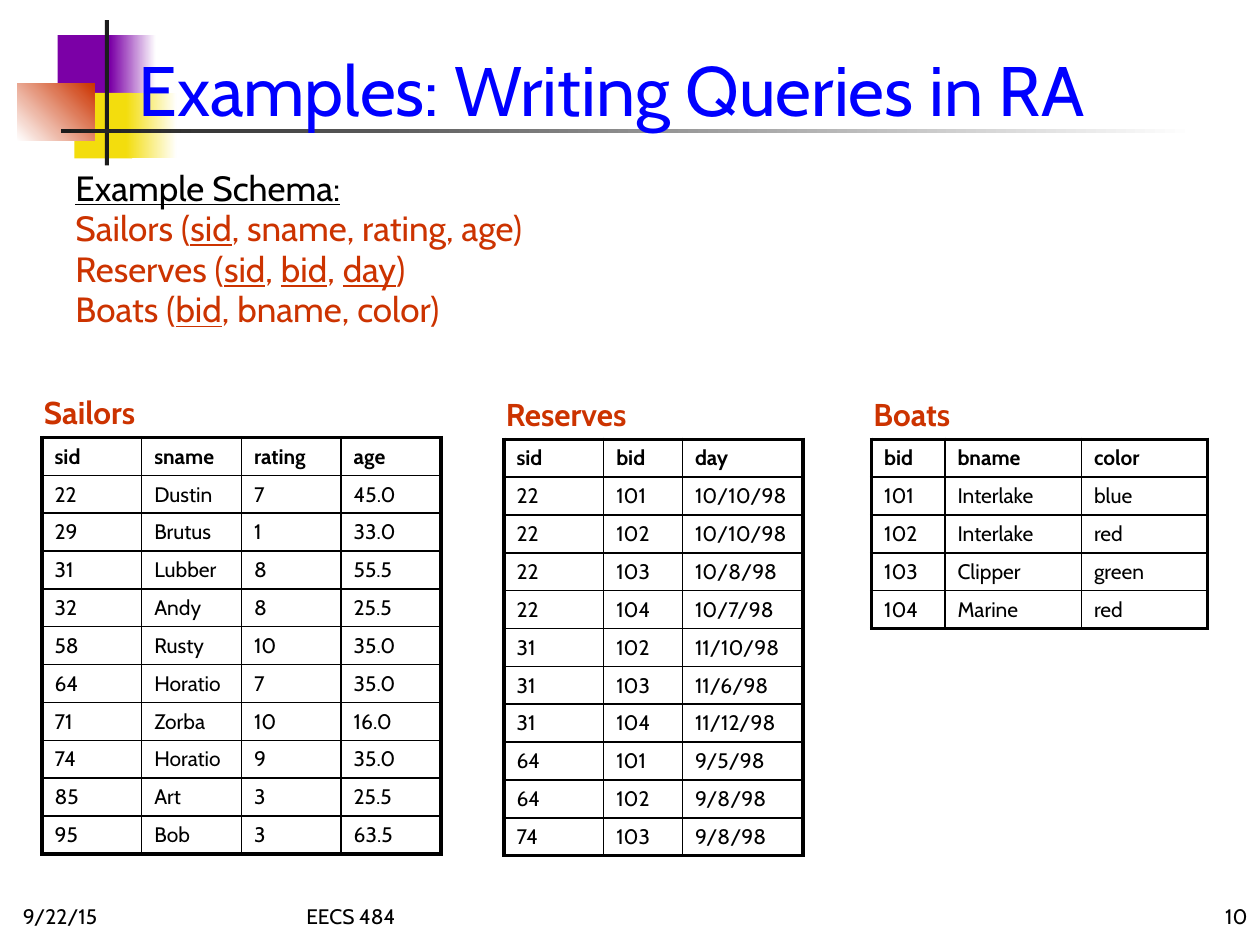
from lxml.etree import SubElement
from pptx import Presentation
from pptx.dml.color import RGBColor
from pptx.enum.shapes import MSO_SHAPE as Preset
from pptx.enum.text import MSO_ANCHOR as Anchor, PP_ALIGN as Align
from pptx.oxml.ns import qn
from pptx.util import Pt

FONT = "Cabin"
BLACK, WHITE, RED, BLUE = "000000", "FFFFFF", "CC3300", "0000FF"
PURPLE, YELLOW, CHARCOAL = "7B00A6", "F3DD0D", "1C1C1C"
ROW_HEIGHT = 21.6
THIN, THICK = 1, 2.25


def rgb(value):
    return RGBColor.from_string(value)


def write_text(para, text, size=12, color=BLACK, bold=False, align=Align.LEFT):
    para.alignment = align
    for index, piece in enumerate(text.split("_")):
        if piece:
            span = para.add_run()
            span.text = piece
            span.font.name = FONT
            span.font.size = Pt(size)
            span.font.bold = bold
            span.font.underline = index % 2 == 1
            span.font.color.rgb = rgb(color)


def add_text(page, box, text, anchor=Anchor.TOP, **style):
    frame = page.shapes.add_textbox(*map(Pt, box)).text_frame
    frame.word_wrap = True
    frame.vertical_anchor = anchor
    write_text(frame.paragraphs[0], text, **style)
    return frame


def add_block(page, box, start, end=None, angle=0):
    block = page.shapes.add_shape(Preset.RECTANGLE, *map(Pt, box))
    block.shadow.inherit = False
    block.line.fill.background()
    if end is None:
        block.fill.solid()
        block.fill.fore_color.rgb = rgb(start)
    else:
        block.fill.gradient()
        block.fill.gradient_angle = angle
        for stop, color in zip(block.fill.gradient_stops, (start, end)):
            stop.color.rgb = rgb(color)


def add_ornament(page, box):
    left, top, width, height = box
    blocks = [
        ((23, 8.5, 34.5, 37.5), PURPLE),
        ((53, 8.5, 26, 37.5), PURPLE, WHITE),
        ((32.5, 41.5, 33, 37.5), YELLOW),
        ((62, 41.5, 29, 37.5), YELLOW, WHITE),
        ((0, 36, 44, 33), WHITE, RED, 45),
        ((50, 0, 2.2, height), CHARCOAL),
        ((25, 62.5, width - 25, 2.2), CHARCOAL, WHITE),
    ]
    for (x, y, w, h), *colors in blocks:
        add_block(page, (left + x, top + y, w, h), *colors)


def add_schema(page, box, lines):
    heading, *relations = lines
    frame = add_text(page, box, heading, size=20)
    for relation in relations:
        write_text(frame.add_paragraph(), relation, size=20, color=RED)
    for para in frame.paragraphs:
        para.line_spacing = 0.8
        para.space_before = Pt(4)


def set_borders(cell, widths):
    props = cell._tc.get_or_add_tcPr()
    for side, width in widths.items():
        line = SubElement(props, qn(f"a:ln{side}"), w=str(Pt(width)))
        fill = SubElement(line, qn("a:solidFill"))
        SubElement(fill, qn("a:srgbClr"), val=BLACK)


def add_relation(page, box, name, widths, rows):
    left, top, width, height = box
    add_text(page, (left - 6, top, 102, 29), name, size=18, color=RED, bold=True)
    frame = page.shapes.add_table(
        len(rows), len(widths), Pt(left), Pt(top + 29), Pt(width), Pt(height - 29)
    )
    table = frame.table
    table.first_row = table.horz_banding = False
    for column, column_width in zip(table.columns, widths):
        column.width = Pt(column_width)
    last_row, last_column = len(rows) - 1, len(widths) - 1
    for r, values in enumerate(rows):
        table.rows[r].height = Pt(ROW_HEIGHT)
        for c, value in enumerate(values):
            cell = table.cell(r, c)
            write_text(cell.text_frame.paragraphs[0], value, bold=r == 0)
            edges = {"L": c == 0, "R": c == last_column, "T": r == 0, "B": r == last_row}
            set_borders(cell, {side: THICK if outer else THIN for side, outer in edges.items()})
            cell.fill.background()


def add_footer(page, box):
    left, top, width, height = box
    parts = [
        (0, 150, "9/22/15", Align.LEFT),
        (162, 390, "EECS 484", Align.LEFT),
        (width - 150, 150, "10", Align.RIGHT),
    ]
    for x, part_width, text, align in parts:
        add_text(page, (left + x, top, part_width, height), text, Anchor.BOTTOM, align=align)


SCHEMA = [
    "_Example Schema:_",
    "Sailors (_sid_, sname, rating, age)",
    "Reserves (_sid_, _bid_, _day_)",
    "Boats (_bid_, bname, color)",
]
SAILORS = [
    ("sid", "sname", "rating", "age"),
    ("22", "Dustin", "7", "45.0"),
    ("29", "Brutus", "1", "33.0"),
    ("31", "Lubber", "8", "55.5"),
    ("32", "Andy", "8", "25.5"),
    ("58", "Rusty", "10", "35.0"),
    ("64", "Horatio", "7", "35.0"),
    ("71", "Zorba", "10", "16.0"),
    ("74", "Horatio", "9", "35.0"),
    ("85", "Art", "3", "25.5"),
    ("95", "Bob", "3", "63.5"),
]
RESERVES = [
    ("sid", "bid", "day"),
    ("22", "101", "10/10/98"),
    ("22", "102", "10/10/98"),
    ("22", "103", "10/8/98"),
    ("22", "104", "10/7/98"),
    ("31", "102", "11/10/98"),
    ("31", "103", "11/6/98"),
    ("31", "104", "11/12/98"),
    ("64", "101", "9/5/98"),
    ("64", "102", "9/8/98"),
    ("74", "103", "9/8/98"),
]
BOATS = [
    ("bid", "bname", "color"),
    ("101", "Interlake", "blue"),
    ("102", "Interlake", "red"),
    ("103", "Clipper", "green"),
    ("104", "Marine", "red"),
]
RELATIONS = [
    (24, 221, "Sailors", (57, 57, 57, 57), SAILORS),
    (288, 222, "Reserves", (57, 45, 69), RESERVES),
    (498, 222, "Boats", (42, 78, 72), BOATS),
]


def main():
    deck = Presentation()
    deck.slide_width, deck.slide_height = Pt(720), Pt(540)
    page = deck.slides.add_slide(deck.slide_layouts[6])
    add_ornament(page, (10, 11.5, 673, 83))
    add_footer(page, (6, 498, 714, 36))
    add_text(page, (72, -12, 636, 90), "Examples: Writing Queries in RA",
             Anchor.BOTTOM, size=40, color=BLUE)
    add_schema(page, (36, 96, 660, 108), SCHEMA)
    for left, top, name, widths, rows in RELATIONS:
        box = (left, top, sum(widths), 29 + ROW_HEIGHT * len(rows))
        add_relation(page, box, name, widths, rows)
    deck.save("out.pptx")


if __name__ == "__main__":
    main()
